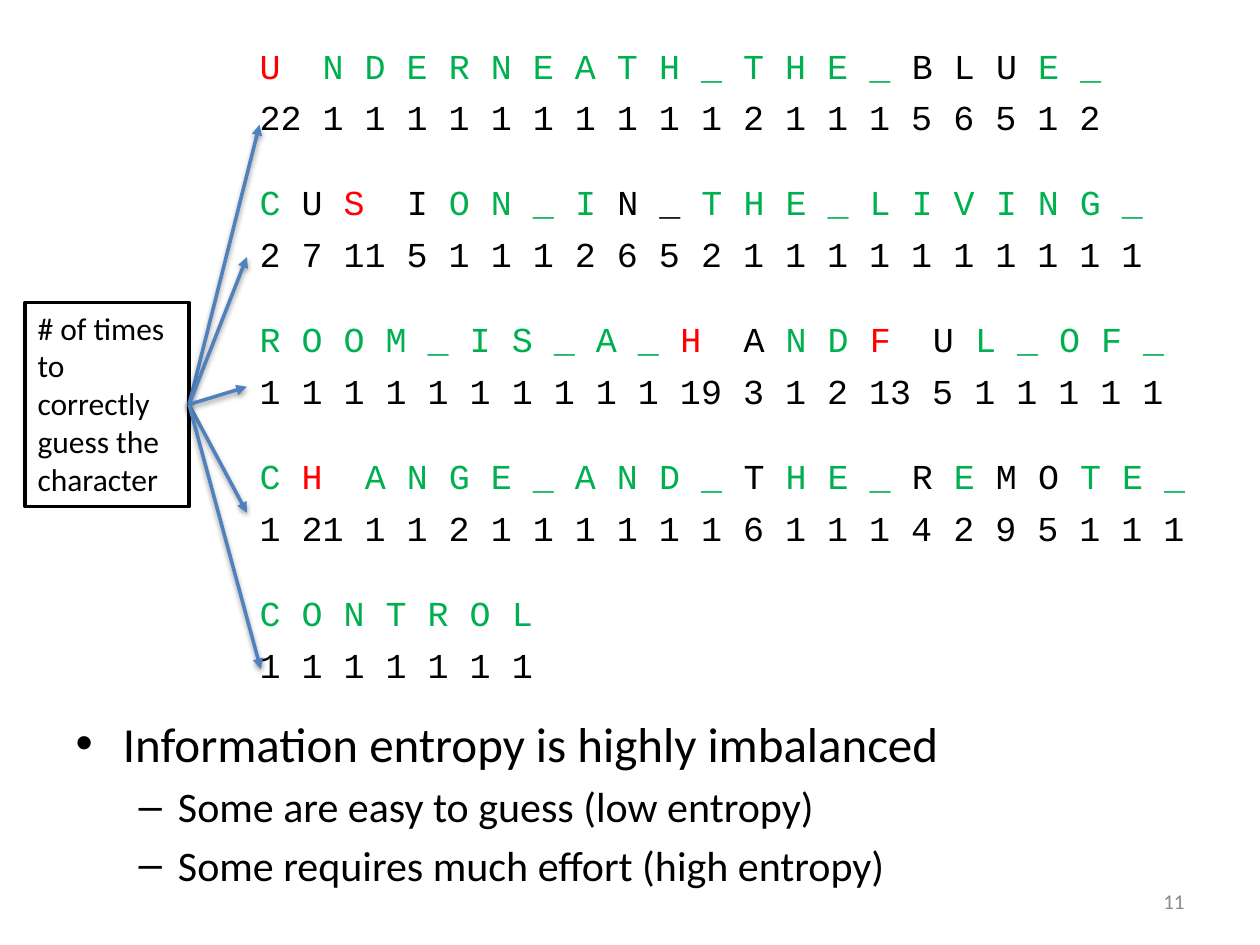
from lxml import etree
from pptx import Presentation
from pptx.dml.color import RGBColor
from pptx.enum.shapes import MSO_CONNECTOR, MSO_SHAPE
from pptx.enum.text import MSO_ANCHOR, MSO_AUTO_SIZE, PP_ALIGN
from pptx.oxml import parse_xml
from pptx.oxml.ns import nsdecls, qn
from pptx.util import Inches, Pt

LEFT, RIGHT = PP_ALIGN.LEFT, PP_ALIGN.RIGHT
TOP, MIDDLE = MSO_ANCHOR.TOP, MSO_ANCHOR.MIDDLE
NO_FIT = MSO_AUTO_SIZE.NONE
RECT, STRAIGHT = MSO_SHAPE.RECTANGLE, MSO_CONNECTOR.STRAIGHT

RED = RGBColor(0xFF, 0x00, 0x00)
GREEN = RGBColor(0x00, 0xB0, 0x50)
BLACK = RGBColor(0x00, 0x00, 0x00)
WHITE = RGBColor(0xFF, 0xFF, 0xFF)
BLUE = RGBColor(0x4F, 0x81, 0xBD)
GRAY = RGBColor(0x89, 0x89, 0x89)
SANS, MONO = "Calibri", "Courier New"

# Each group: coloured letters, then the guess counts below them
GROUPS = [
    ([(RED, "U  "), (GREEN, "N D E R N E A T H _ T H E _ "),
      (BLACK, "B L U "), (GREEN, "E _")],
     "22 1 1 1 1 1 1 1 1 1 1 2 1 1 1 5 6 5 1 2"),
    ([(GREEN, "C"), (BLACK, " U "), (RED, "S"), (BLACK, "  I "),
      (GREEN, "O N _ I"), (BLACK, " N _ "), (GREEN, "T H E _ L I V I N G _")],
     "2 7 11 5 1 1 1 2 6 5 2 1 1 1 1 1 1 1 1 1 1"),
    ([(GREEN, "R O O M _ I S _ A _ "), (RED, "H"), (BLACK, "  A "),
      (GREEN, "N D "), (RED, "F"), (BLACK, "  U "), (GREEN, "L _ O F _")],
     "1 1 1 1 1 1 1 1 1 1 19 3 1 2 13 5 1 1 1 1 1"),
    ([(GREEN, "C "), (RED, "H  "), (GREEN, "A N G E _ A N D _ "),
      (BLACK, "T "), (GREEN, "H E _ "), (BLACK, "R "), (GREEN, "E"),
      (BLACK, " M O "), (GREEN, "T E _")],
     "1 21 1 1 2 1 1 1 1 1 1 6 1 1 1 4 2 9 5 1 1 1"),
    ([(GREEN, "C O N T R O L")], "1 1 1 1 1 1 1"),
]
POINTS = [
    (0, 28, "Information entropy is highly imbalanced"),
    (1, 24, "Some are easy to guess (low entropy)"),
    (1, 24, "Some requires much effort (high entropy)"),
]
TIPS = [(2.06, 0.99), (1.96, 2.04), (1.96, 3.07), (1.96, 4.07), (2.07, 5.31)]


def place(shape, box):
    shape.left, shape.top, shape.width, shape.height = map(Inches, box)


def style(run, size, color, font=SANS):
    run.font.size = Pt(size)
    run.font.name = font
    run.font.color.rgb = color


def add_line(frame, parts, first, gap):
    para = frame.paragraphs[0] if first else frame.add_paragraph()
    para.space_before = Pt(gap)
    props = para._p.get_or_add_pPr()
    props.set("marL", "0")
    props.set("indent", "0")
    etree.SubElement(props, qn("a:buNone"))
    for color, text in parts:
        run = para.add_run()
        run.text = text
        style(run, 20, color, MONO)


def fill_letters(body, box):
    place(body, box)
    frame = body.text_frame
    frame.auto_size = NO_FIT
    for i, (parts, counts) in enumerate(GROUPS):
        add_line(frame, parts, i == 0, 24.7 if i else 4.5)
        add_line(frame, [(BLACK, counts)], False, 5.5)


def fill_points(body, box):
    place(body, box)
    frame = body.text_frame
    frame.auto_size = NO_FIT
    frame.text = "\n".join(text for _, _, text in POINTS)
    for para, (level, size, _) in zip(frame.paragraphs, POINTS):
        para.level = level
        style(para.runs[0], size, BLACK)


def add_label(slide, box):
    label = slide.shapes.add_shape(RECT, *map(Inches, box))
    label.shadow.inherit = False
    label.fill.solid()
    label.fill.fore_color.rgb = WHITE
    label.line.color.rgb = BLACK
    label.line.width = Pt(2)
    frame = label.text_frame
    frame.word_wrap = True
    frame.vertical_anchor = TOP
    frame.text = "# of times to correctly guess the character"
    frame.paragraphs[0].alignment = LEFT
    style(frame.paragraphs[0].runs[0], 18, BLACK)


def add_arrows(slide, box):
    left, top, width, height = box
    start = Inches(left + width), Inches(top + height / 2)
    for x, y in TIPS:
        arrow = slide.shapes.add_connector(STRAIGHT, *start, Inches(x), Inches(y))
        arrow.line.color.rgb = BLUE
        arrow.line.width = Pt(2)
        etree.SubElement(arrow.line._get_or_add_ln(), qn("a:tailEnd"), type="triangle")
        # Soft shadow straight below
        arrow._element.spPr.append(parse_xml(
            f'<a:effectLst {nsdecls("a")}>'
            f'<a:outerShdw blurRad="{Pt(3.1)}" dist="{Pt(1.6)}" dir="5400000" '
            'rotWithShape="0"><a:srgbClr val="000000"><a:alpha val="38000"/>'
            '</a:srgbClr></a:outerShdw></a:effectLst>'))


def add_number(slide, box):
    frame = slide.shapes.add_textbox(*map(Inches, box)).text_frame
    frame.word_wrap = True
    frame.vertical_anchor = MIDDLE
    frame.text = "11"
    frame.paragraphs[0].alignment = RIGHT
    style(frame.paragraphs[0].runs[0], 12, GRAY)


def main():
    deck = Presentation()
    deck.slide_width, deck.slide_height = Inches(10), Inches(7.5)
    slide = deck.slides.add_slide(deck.slide_layouts[3])
    title, letters, points = slide.placeholders
    title._element.getparent().remove(title._element)

    label = (0.2, 2.4, 1.3, 1.62)
    fill_letters(letters, (1.96, 0.3, 8.17, 6.4))
    fill_points(points, (0.5, 5.61, 9, 1.09))
    add_number(slide, (7.17, 6.95, 2.33, 0.4))
    add_label(slide, label)
    add_arrows(slide, label)
    deck.save("out.pptx")


if __name__ == "__main__":
    main()
